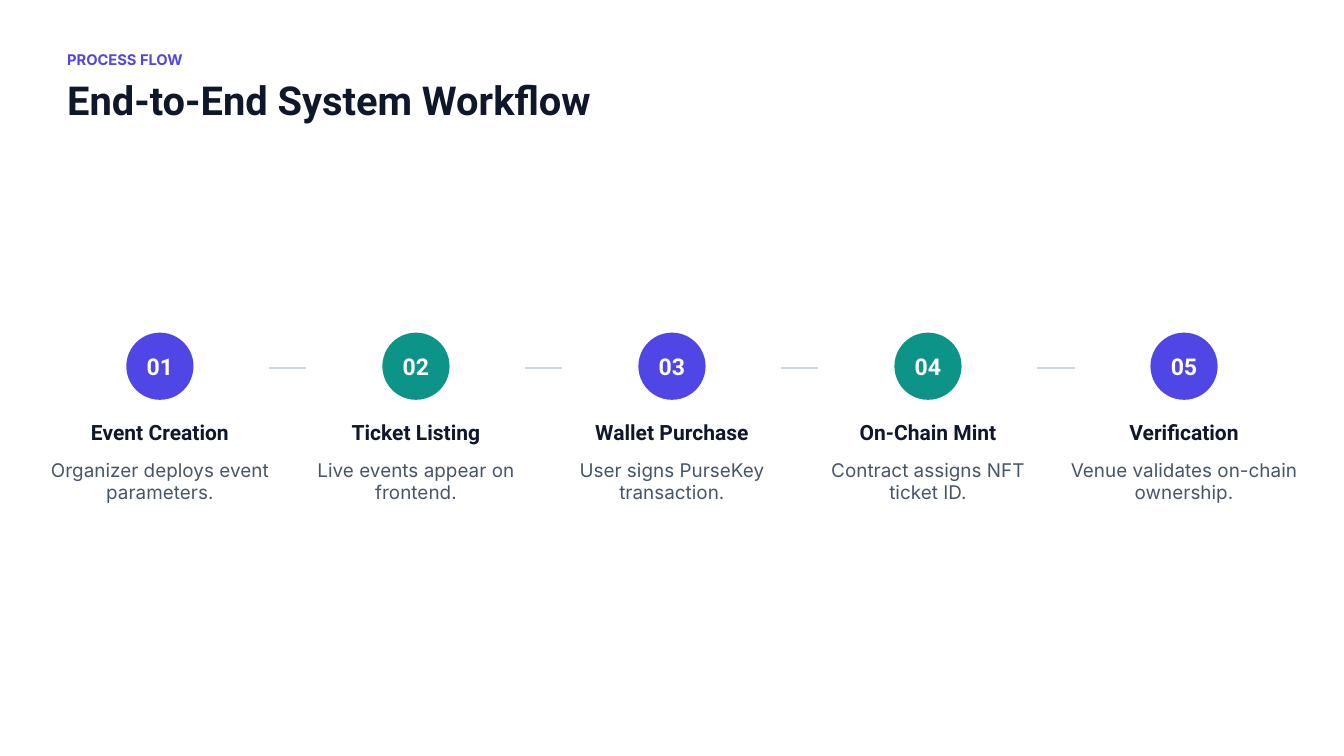
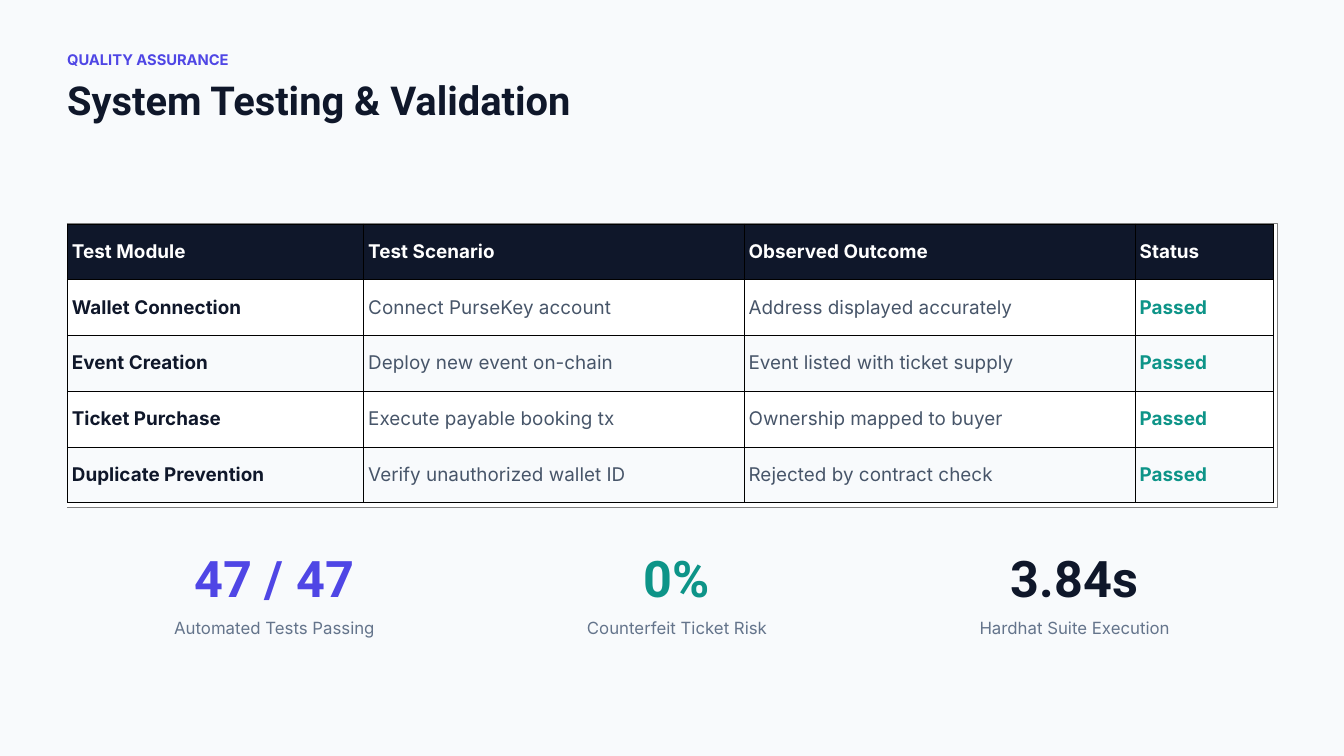
from lxml import etree
from pptx import Presentation
from pptx.dml.color import RGBColor
from pptx.enum.shapes import MSO_CONNECTOR, MSO_SHAPE
from pptx.enum.text import MSO_ANCHOR, MSO_AUTO_SIZE, PP_ALIGN
from pptx.oxml import parse_xml
from pptx.oxml.ns import nsdecls, qn
from pptx.util import Inches, Pt

LEFT, CENTER = PP_ALIGN.LEFT, PP_ALIGN.CENTER
TOP, MIDDLE = MSO_ANCHOR.TOP, MSO_ANCHOR.MIDDLE
GROW, FIXED = MSO_AUTO_SIZE.SHAPE_TO_FIT_TEXT, MSO_AUTO_SIZE.NONE
STRAIGHT = MSO_CONNECTOR.STRAIGHT
OVAL = MSO_SHAPE.OVAL

WHITE = RGBColor(0xFF, 0xFF, 0xFF)
MIST = RGBColor(0xF8, 0xFA, 0xFC)
NAVY = RGBColor(0x0F, 0x17, 0x2A)
INDIGO = RGBColor(0x4F, 0x46, 0xE5)
TEAL = RGBColor(0x0D, 0x94, 0x88)
SLATE = RGBColor(0x47, 0x55, 0x69)
SOFT_SLATE = RGBColor(0x64, 0x74, 0x8B)
PALE_SLATE = RGBColor(0xCB, 0xD5, 0xE1)
FRAME_GRAY = RGBColor(0x7F, 0x7F, 0x7F)

EYEBROW = {"name": "Inter", "size": Pt(15.75), "bold": True}
TITLE = {"name": "Roboto", "size": Pt(42.75), "bold": True}
NUMBER = {"name": "Roboto", "size": Pt(24.75), "bold": True}
HEADING = {"name": "Roboto", "size": Pt(22.5), "bold": True}
BODY = {"name": "Inter", "size": Pt(20.25), "bold": False}
BODY_BOLD = {**BODY, "bold": True}
FIGURE = {"name": "Roboto", "size": Pt(54), "bold": True}
CAPTION = {"name": "Inter", "size": Pt(18), "bold": False}

SLIDE_WIDTH, SLIDE_HEIGHT = 20, 11.25
MARGIN = SLIDE_WIDTH / 20
CONTENT_WIDTH = SLIDE_WIDTH - 2 * MARGIN
LINE_HEIGHT = 1.2

STEP_PITCH, FIRST_STEP, STEP_WIDTH = 3.81, 2.38, 3.44
CIRCLE_TOP, CIRCLE_SIZE = 4.95, 1
LINK_WIDTH, LINK_OFFSET = 0.56, 1.62
STEPS = [
    ("Event Creation", "Organizer deploys event parameters."),
    ("Ticket Listing", "Live events appear on frontend."),
    ("Wallet Purchase", "User signs PurseKey transaction."),
    ("On-Chain Mint", "Contract assigns NFT ticket ID."),
    ("Verification", "Venue validates on-chain ownership."),
]

TABLE_TOP, ROW_HEIGHT = 3.33, 0.83
COLUMN_WIDTHS = [4.41, 5.66, 5.82, 2.06]
TEST_RESULTS = [
    ("Test Module", "Test Scenario", "Observed Outcome", "Status"),
    ("Wallet Connection", "Connect PurseKey account", "Address displayed accurately", "Passed"),
    ("Event Creation", "Deploy new event on-chain", "Event listed with ticket supply", "Passed"),
    ("Ticket Purchase", "Execute payable booking tx", "Ownership mapped to buyer", "Passed"),
    ("Duplicate Prevention", "Verify unauthorized wallet ID", "Rejected by contract check", "Passed"),
]
COLUMN_STYLES = [(BODY_BOLD, NAVY), (BODY, SLATE), (BODY, SLATE), (BODY_BOLD, TEAL)]

METRICS = [
    ("47 / 47", "Automated Tests Passing", INDIGO, 3.69),
    ("0%", "Counterfeit Ticket Risk", TEAL, 3.34),
    ("3.84s", "Hardhat Suite Execution", NAVY, 3.54),
]


def place(shape, left, top, width, height):
    box = {"left": left, "top": top, "width": width, "height": height}
    for name, length in box.items():
        setattr(shape, name, Inches(length))


def write(text_frame, text, style, color, alignment=LEFT):
    """Fill a frame with one paragraph whose line height follows its size."""
    paragraph = text_frame.paragraphs[0]
    paragraph.text = text
    paragraph.alignment = alignment
    paragraph.line_spacing = Pt(style["size"].pt * LINE_HEIGHT)
    for name, value in style.items():
        setattr(paragraph.font, name, value)
    paragraph.font.color.rgb = color


def set_frame(text_frame, anchor=TOP, auto_size=GROW):
    frame_format = {
        "margin_left": 0, "margin_top": 0, "margin_right": 0, "margin_bottom": 0,
        "word_wrap": True, "vertical_anchor": anchor, "auto_size": auto_size,
    }
    for name, value in frame_format.items():
        setattr(text_frame, name, value)


def add_text(slide, box, text, style, color, alignment=LEFT):
    shape = slide.shapes.add_textbox(*map(Inches, box))
    set_frame(shape.text_frame)
    write(shape.text_frame, text, style, color, alignment)


def add_slide(presentation, background, eyebrow, title):
    slide = presentation.slides.add_slide(presentation.slide_layouts[5])
    slide.background.fill.solid()
    slide.background.fill.fore_color.rgb = background
    heading_width = SLIDE_WIDTH - MARGIN
    add_text(slide, (MARGIN, 0.75, heading_width, 0.27), eyebrow, EYEBROW, INDIGO)
    heading = slide.shapes.title
    place(heading, MARGIN, 1.12, heading_width, 0.77)
    set_frame(heading.text_frame)
    write(heading.text_frame, title, TITLE, NAVY)
    return slide


def add_link(slide, left, middle):
    link = slide.shapes.add_connector(
        STRAIGHT, *map(Inches, (left, middle, left + LINK_WIDTH, middle)))
    link.line.color.rgb = PALE_SLATE
    link.line.width = Pt(2.25)
    etree.SubElement(link._element.spPr, qn("a:effectLst"))


def add_circle(slide, center, number, color):
    circle = slide.shapes.add_shape(
        OVAL, *map(Inches, (center - CIRCLE_SIZE / 2, CIRCLE_TOP, CIRCLE_SIZE, CIRCLE_SIZE)))
    circle.shadow.inherit = False
    circle.fill.solid()
    circle.fill.fore_color.rgb = color
    circle.line.fill.background()
    set_frame(circle.text_frame, MIDDLE, FIXED)
    write(circle.text_frame, number, NUMBER, WHITE, CENTER)


def add_step(slide, index, heading, description):
    center = FIRST_STEP + index * STEP_PITCH
    left = center - STEP_WIDTH / 2
    add_circle(slide, center, f"{index + 1:02}", TEAL if index % 2 else INDIGO)
    add_text(slide, (left, 6.24, STEP_WIDTH, 0.43), heading, HEADING, NAVY, CENTER)
    add_text(slide, (left, 6.82, STEP_WIDTH, 0.67), description, BODY, SLATE, CENTER)
    if index < len(STEPS) - 1:
        add_link(slide, center + LINK_OFFSET, CIRCLE_TOP + CIRCLE_SIZE / 2 + 0.02)


def add_table_frame(slide):
    """Draw the white panel behind the table, open on its left side."""
    left, top, right, bottom = 0.99, 3.32, 19.01, 7.55
    builder = slide.shapes.build_freeform(Inches(left), Inches(top))
    corners = [(right, top), (right, bottom), (left, bottom)]
    builder.add_line_segments([(Inches(x), Inches(y)) for x, y in corners], close=False)
    panel = builder.convert_to_shape()
    panel.shadow.inherit = False
    panel.fill.solid()
    panel.fill.fore_color.rgb = WHITE
    panel.line.color.rgb = FRAME_GRAY
    panel.line.width = Pt(0.75)


def add_borders(cell):
    properties = cell._tc.get_or_add_tcPr()
    for side in "LRTB":
        properties.append(parse_xml(
            f'<a:ln{side} {nsdecls("a")} w="{Pt(0.37)}"><a:solidFill>'
            f'<a:srgbClr val="000000"/></a:solidFill></a:ln{side}>'))


def format_cell(cell, text, fill, style, color):
    for side in ("left", "top", "right", "bottom"):
        setattr(cell, f"margin_{side}", Inches(0.07))
    cell.vertical_anchor = MIDDLE
    add_borders(cell)
    cell.fill.solid()
    cell.fill.fore_color.rgb = fill
    write(cell.text_frame, text, style, color)


def add_results_table(slide):
    row_count = len(TEST_RESULTS)
    table = slide.shapes.add_table(
        row_count, len(COLUMN_WIDTHS), Inches(MARGIN), Inches(TABLE_TOP),
        Inches(sum(COLUMN_WIDTHS)), Inches(ROW_HEIGHT * row_count)).table
    table.horz_banding = False
    for column, width in zip(table.columns, COLUMN_WIDTHS):
        column.width = Inches(width)
    for row_index, texts in enumerate(TEST_RESULTS):
        table.rows[row_index].height = Inches(ROW_HEIGHT)
        fill = WHITE if row_index % 2 else MIST
        for column_index, text in enumerate(texts):
            style, color = COLUMN_STYLES[column_index]
            if row_index == 0:
                fill, style, color = NAVY, BODY_BOLD, WHITE
            format_cell(table.cell(row_index, column_index), text, fill, style, color)


def add_metrics(slide):
    """Spread the metrics with equal space on both sides of each."""
    space = (CONTENT_WIDTH - sum(metric[-1] for metric in METRICS)) / (2 * len(METRICS))
    left = MARGIN + space
    for figure, caption, color, width in METRICS:
        add_text(slide, (left, 8.14, width, 0.98), figure, FIGURE, color, CENTER)
        add_text(slide, (left, 9.19, width, 0.31), caption, CAPTION, SOFT_SLATE, CENTER)
        left += width + 2 * space


def main():
    presentation = Presentation()
    presentation.slide_width = Inches(SLIDE_WIDTH)
    presentation.slide_height = Inches(SLIDE_HEIGHT)

    workflow = add_slide(presentation, WHITE, "PROCESS FLOW", "End-to-End System Workflow")
    for index, (heading, description) in enumerate(STEPS):
        add_step(workflow, index, heading, description)

    testing = add_slide(presentation, MIST, "QUALITY ASSURANCE", "System Testing & Validation")
    add_table_frame(testing)
    add_results_table(testing)
    add_metrics(testing)

    presentation.save("out.pptx")


if __name__ == "__main__":
    main()
